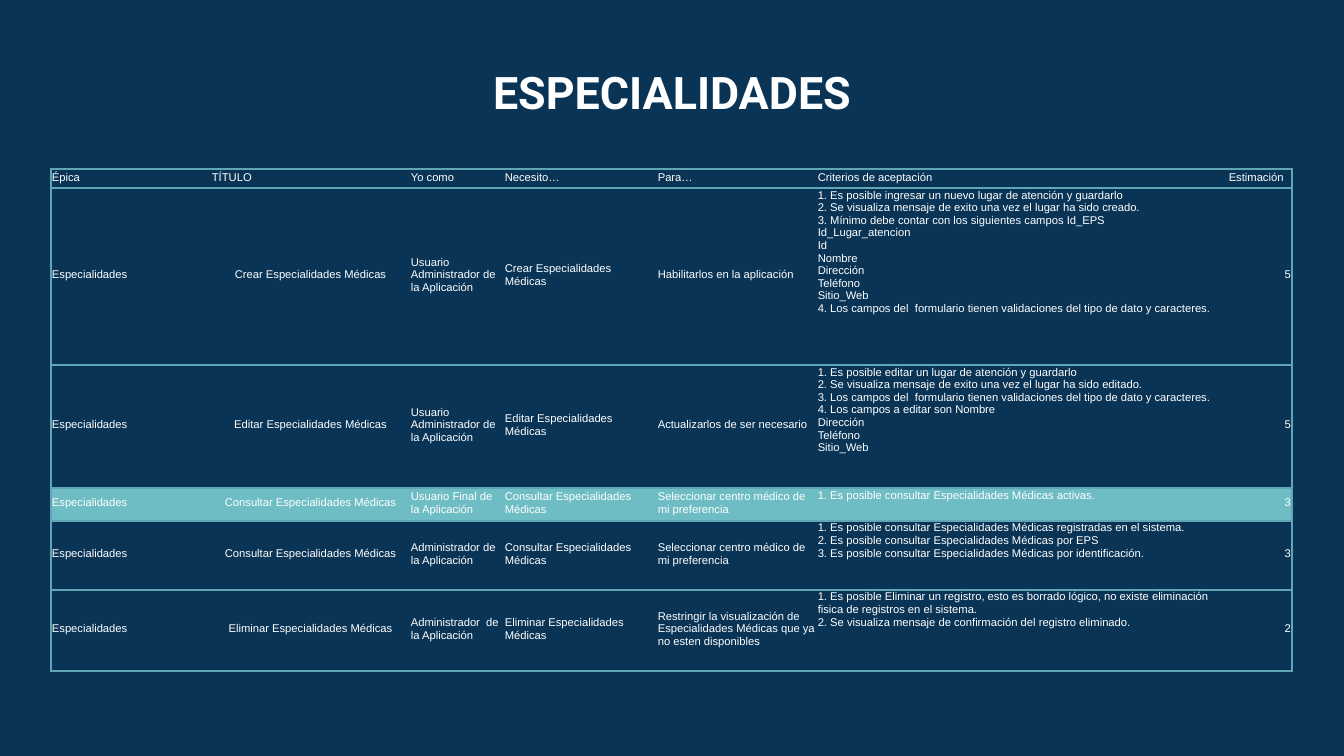
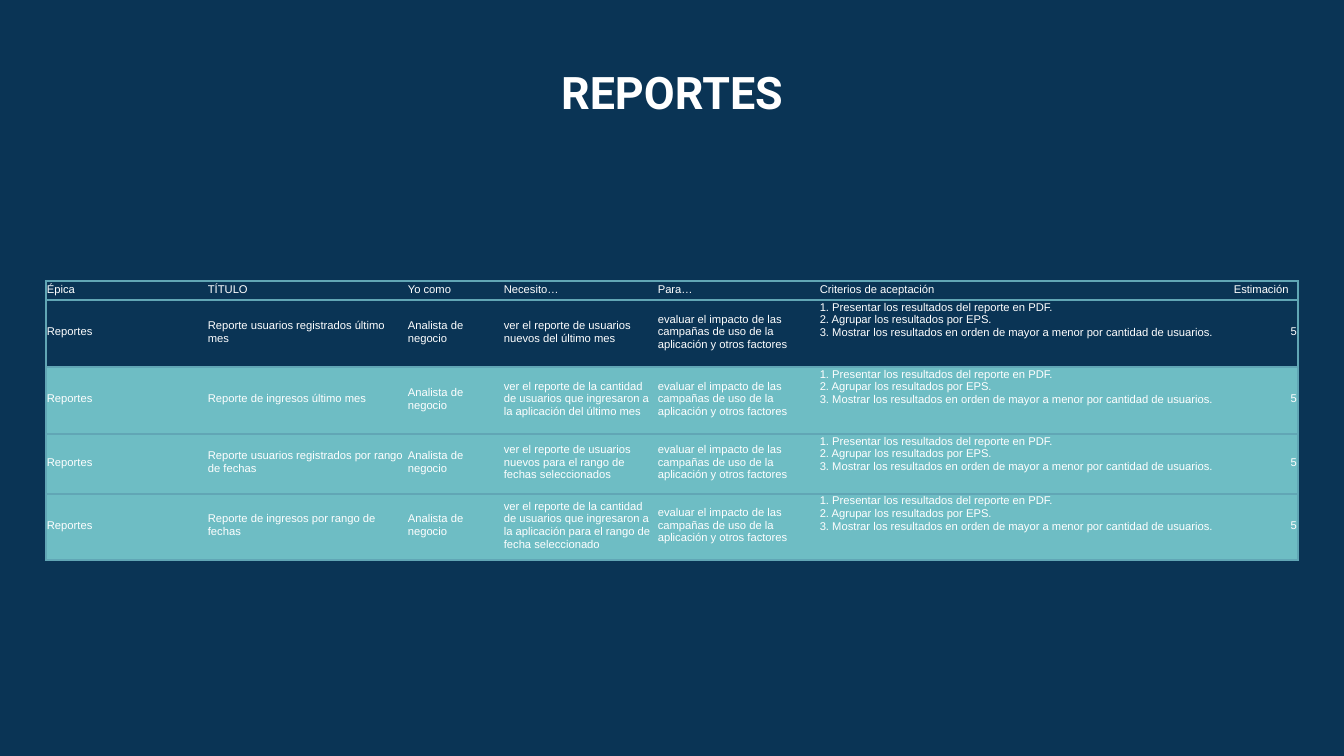
from copy import deepcopy

from lxml import etree
from pptx import Presentation, util as u
from pptx.dml.color import RGBColor
from pptx.enum import text
from pptx.oxml.ns import qn

EMU_PER_PX = 914400 / 134.4
NAVY, TEAL, EDGE, WHITE = "0A3455", "6EBDC4", "61A6B5", "FFFFFF"
NO_STYLE = "{2D5ABB26-0587-4C30-8999-92F81FD0307C}"
LEFT, CENTER, RIGHT = text.PP_ALIGN.LEFT, text.PP_ALIGN.CENTER, text.PP_ALIGN.RIGHT
TOP, MIDDLE, BOTTOM = text.MSO_ANCHOR.TOP, text.MSO_ANCHOR.MIDDLE, text.MSO_ANCHOR.BOTTOM

HEADER = ["Épica", "TÍTULO", "Yo como", "Necesito…", "Para…",
          "Criterios de aceptación", "Estimación"]
CRITERIA_COLUMN = HEADER.index("Criterios de aceptación")

APP_ADMIN = "Usuario Administrador de la Aplicación"
CHOOSE_CENTER = "Seleccionar centro médico de mi preferencia"
SPECIALTIES = [
    ["Crear Especialidades Médicas", APP_ADMIN, "Crear Especialidades Médicas",
     "Habilitarlos en la aplicación",
     "1. Es posible ingresar un nuevo lugar de atención y guardarlo\n"
     "2. Se visualiza mensaje de exito una vez el lugar ha sido creado.\n"
     "3. Mínimo debe contar con los siguientes campos Id_EPS\n"
     "Id_Lugar_atencion\nId\nNombre\nDirección\nTeléfono\nSitio_Web\n"
     "4. Los campos del  formulario tienen validaciones del tipo de dato y caracteres.",
     "5"],
    ["Editar Especialidades Médicas", APP_ADMIN, "Editar Especialidades Médicas",
     "Actualizarlos de ser necesario",
     "1. Es posible editar un lugar de atención y guardarlo\n"
     "2. Se visualiza mensaje de exito una vez el lugar ha sido editado.\n"
     "3. Los campos del  formulario tienen validaciones del tipo de dato y caracteres.\n"
     "4. Los campos a editar son Nombre\nDirección\nTeléfono\nSitio_Web",
     "5"],
    ["Consultar Especialidades Médicas", "Usuario Final de la Aplicación",
     "Consultar Especialidades Médicas", CHOOSE_CENTER,
     "1. Es posible consultar Especialidades Médicas activas.",
     "3"],
    ["Consultar Especialidades Médicas", "Administrador de la Aplicación",
     "Consultar Especialidades Médicas", CHOOSE_CENTER,
     "1. Es posible consultar Especialidades Médicas registradas en el sistema.\n"
     "2. Es posible consultar Especialidades Médicas por EPS\n"
     "3. Es posible consultar Especialidades Médicas por identificación.",
     "3"],
    ["Eliminar Especialidades Médicas", "Administrador  de la Aplicación",
     "Eliminar Especialidades Médicas",
     "Restringir la visualización de Especialidades Médicas que ya no esten disponibles",
     "1. Es posible Eliminar un registro, esto es borrado lógico, no existe eliminación "
     "fisica de registros en el sistema.\n"
     "2. Se visualiza mensaje de confirmación del registro eliminado.",
     "2"],
]

REPORT_NEEDS = [
    ("Reporte usuarios registrados último mes",
     "ver el reporte de usuarios nuevos del último mes"),
    ("Reporte de ingresos último mes",
     "ver el reporte de la cantidad de usuarios que ingresaron a la aplicación "
     "del último mes"),
    ("Reporte usuarios registrados por rango de fechas",
     "ver el reporte de usuarios nuevos para el rango de fechas seleccionados"),
    ("Reporte de ingresos por rango de fechas",
     "ver el reporte de la cantidad de usuarios que ingresaron a la aplicación "
     "para el rango de fecha seleccionado"),
]
REPORT_PURPOSE = ("evaluar el impacto de las campañas de uso de la aplicación "
                  "y otros factores")
REPORT_CRITERIA = (
    "1. Presentar los resultados del reporte en PDF.\n"
    "2. Agrupar los resultados por EPS.\n"
    "3. Mostrar los resultados en orden de mayor a menor por cantidad de usuarios.")
REPORTS = [[title, "Analista de negocio", need, REPORT_PURPOSE, REPORT_CRITERIA, "5"]
           for title, need in REPORT_NEEDS]


def px(length):
    return u.Emu(round(length * EMU_PER_PX))


def color(code):
    return RGBColor.from_string(code)


def paint(fill, code):
    fill.solid()
    fill.fore_color.rgb = color(code)


def write(frame, words, size, font, bold=False, align=LEFT):
    """Fill a text frame with one paragraph; newlines become line breaks."""
    frame.word_wrap = True
    para = frame.paragraphs[0]
    para.text = words
    para.alignment = align
    for span in para.runs:
        span.font.size = u.Pt(size)
        span.font.name = font
        span.font.bold = bold
        span.font.color.rgb = color(WHITE)
    style = para.runs[0]._r.rPr
    for line_break in para._p.findall(qn("a:br")):
        line_break.append(deepcopy(style))


def add_border(cell, side):
    line = etree.SubElement(cell._tc.get_or_add_tcPr(), qn(f"a:ln{side}"),
                            w=str(u.Pt(1)))
    fill = etree.SubElement(line, qn("a:solidFill"))
    etree.SubElement(fill, qn("a:srgbClr"), val=EDGE)


def format_cell(cell, words, fill, sides, anchor, align):
    for side in sides:
        add_border(cell, side)
    paint(cell.fill, fill)
    cell.margin_left = cell.margin_right = cell.margin_top = px(1)
    cell.margin_bottom = px(4)
    cell.vertical_anchor = anchor
    write(cell.text_frame, words, size=6, font="Arial", align=align)


def add_page(deck, title):
    page = deck.slides.add_slide(deck.slide_layouts[5])
    box = page.shapes.title
    box.left, box.top, box.width, box.height = px(289), px(52), px(766), px(138)
    frame = box.text_frame
    frame.auto_size = text.MSO_AUTO_SIZE.NONE
    frame.vertical_anchor = TOP
    frame.margin_left = frame.margin_right = px(13)
    frame.margin_top = frame.margin_bottom = px(13)
    write(frame, title, size=24, font="Roboto", bold=True, align=CENTER)
    return page


def add_stories(page, epic, stories, left, top, widths, heights, highlighted,
                title_align=LEFT):
    """Draw the user-story table; highlighted holds the teal row numbers."""
    rows = [HEADER] + [[epic, *story] for story in stories]
    frame = page.shapes.add_table(len(rows), len(HEADER), px(left), px(top),
                                  px(sum(widths)), px(sum(heights)))
    table = frame.table
    table.first_row = table.horz_banding = False
    table._tbl.tblPr.find(qn("a:tableStyleId")).text = NO_STYLE
    for column, width in zip(table.columns, widths):
        column.width = px(width)
    for row, height in zip(table.rows, heights):
        row.height = px(height)

    last = len(HEADER) - 1
    body_align = {1: title_align, last: RIGHT}
    edge_sides = {0: "LTB", last: "RTB"}
    for r, row in enumerate(rows):
        for c, words in enumerate(row):
            if r == 0:
                anchor, align = BOTTOM, LEFT
            else:
                anchor = TOP if c == CRITERIA_COLUMN else MIDDLE
                align = body_align.get(c, LEFT)
            format_cell(table.cell(r, c), words, TEAL if r in highlighted else NAVY,
                        edge_sides.get(c, "TB"), anchor, align)


def main():
    deck = Presentation()
    deck.slide_width, deck.slide_height = px(1344), px(756)
    paint(deck.slide_master.background.fill, NAVY)

    page = add_page(deck, "ESPECIALIDADES")
    add_stories(page, "Especialidades", SPECIALTIES, left=51, top=169,
                widths=[160, 199, 94, 153, 160, 411, 64],
                heights=[19, 177, 123, 33, 69, 81],
                highlighted={3}, title_align=CENTER)

    page = add_page(deck, "REPORTES")
    add_stories(page, "Reportes", REPORTS, left=46, top=281,
                widths=[161, 200, 96, 154, 162, 414, 65],
                heights=[19, 67, 67, 60, 66],
                highlighted={2, 3, 4})

    deck.save("out.pptx")


if __name__ == "__main__":
    main()
